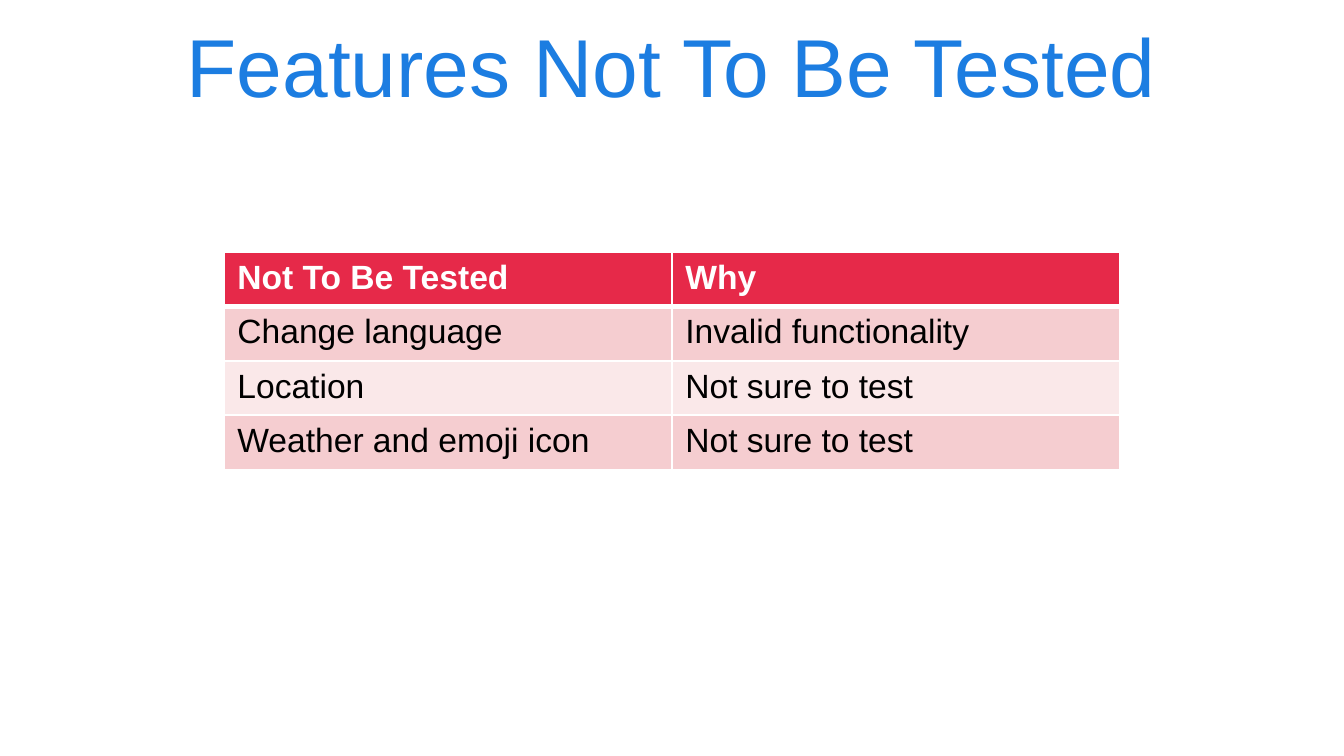
from lxml import etree
from pptx import Presentation
from pptx.dml.color import RGBColor
from pptx.enum.text import MSO_ANCHOR, PP_ALIGN
from pptx.oxml.ns import qn
from pptx.util import Inches, Pt

CENTER, LEFT = PP_ALIGN.CENTER, PP_ALIGN.LEFT
MIDDLE = MSO_ANCHOR.MIDDLE

BLUE = RGBColor(0x1C, 0x7D, 0xE1)
RED = RGBColor(0xE6, 0x29, 0x49)
PINK = RGBColor(0xF5, 0xCD, 0xD0)
PALE_PINK = RGBColor(0xFA, 0xE8, 0xE9)
WHITE = RGBColor(0xFF, 0xFF, 0xFF)
BLACK = RGBColor(0x00, 0x00, 0x00)

SLIDE_W = Inches(10)
SLIDE_H = SLIDE_W * 9 // 16
TABLE_H = Inches(1.62)
FEATURES = [
    ("Not To Be Tested", "Why"),
    ("Change language", "Invalid functionality"),
    ("Location", "Not sure to test"),
    ("Weather and emoji icon", "Not sure to test"),
]


def write(tf, text, size=18, color=BLACK, bold=False, align=LEFT):
    p = tf.paragraphs[0]
    p.alignment = align
    r = p.add_run()
    r.text = text
    r.font.name = "Arial"
    r.font.size = Pt(size)
    r.font.bold = bold
    r.font.color.rgb = color


def add_title(s, text):
    tf = s.shapes.add_textbox(0, 0, SLIDE_W, Inches(0.97)).text_frame
    tf.word_wrap = True
    tf.vertical_anchor = MIDDLE
    write(tf, text, size=44, color=BLUE, align=CENTER)


def set_borders(cell, **widths):
    tcPr = cell._tc.get_or_add_tcPr()
    for side, width in widths.items():
        ln = etree.SubElement(tcPr, qn(f"a:ln{side}"), w=str(Pt(width)))
        fill = etree.SubElement(ln, qn("a:solidFill"))
        etree.SubElement(fill, qn("a:srgbClr"), val=str(WHITE))


def add_feature_table(s, rows):
    width = SLIDE_W * 2 // 3
    left, top = (SLIDE_W - width) // 2, SLIDE_H // 3
    table = s.shapes.add_table(
        len(rows), len(rows[0]), left, top, width, TABLE_H
    ).table
    for i, row in enumerate(rows):
        header = i == 0
        band = PINK if i % 2 else PALE_PINK
        for j, text in enumerate(row):
            cell = table.cell(i, j)
            set_borders(cell, L=1, R=1, T=3 if i == 1 else 1, B=3 if header else 1)
            cell.fill.solid()
            cell.fill.fore_color.rgb = RED if header else band
            write(cell.text_frame, text, color=WHITE if header else BLACK, bold=header)


def main():
    prs = Presentation()
    prs.slide_width, prs.slide_height = SLIDE_W, SLIDE_H
    s = prs.slides.add_slide(prs.slide_layouts[6])
    add_title(s, "Features Not To Be Tested")
    add_feature_table(s, FEATURES)
    prs.save("out.pptx")


if __name__ == "__main__":
    main()
